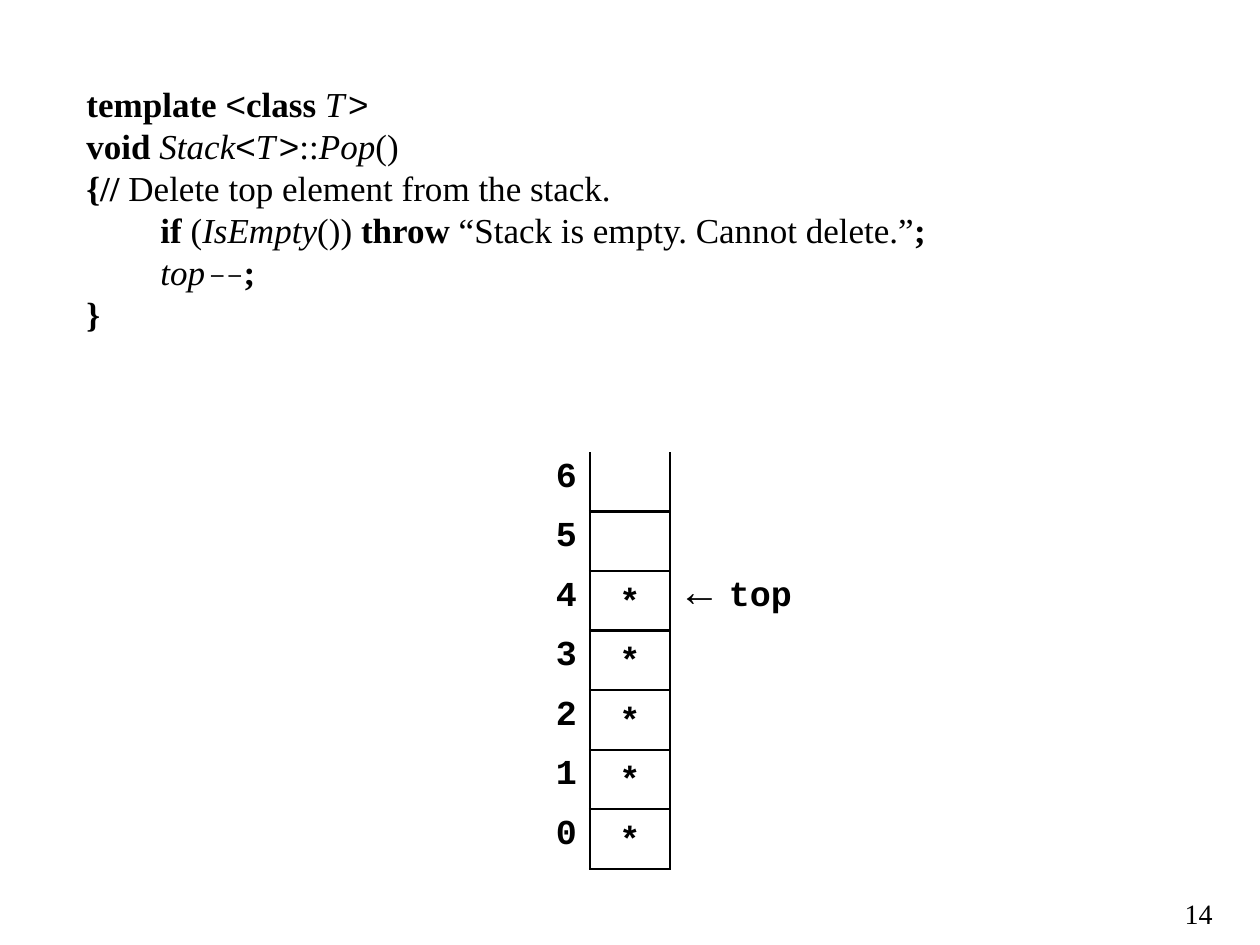
from dataclasses import dataclass

from lxml.etree import SubElement
from pptx import Presentation
from pptx.dml.color import RGBColor
from pptx.enum.text import PP_ALIGN
from pptx.oxml.ns import qn
from pptx.util import Emu, Pt


@dataclass(frozen=True)
class Theme:
    """Colours, fonts and type sizes of the slide."""

    ink: str = "000000"
    serif: str = "Times New Roman"
    mono: str = "Courier New"
    bracket: str = "Arial"
    minus: str = "Cambria"
    body: int = 20
    leading: int = 24
    operator: int = 18
    arrow: int = 24
    number: int = 16
    border: float = 1.5


THEME = Theme()
PLAIN, BOLD, ITALIC = {}, {"bold": True}, {"italic": True}
SPACED = {"italic": True, "spacing": 200}
BRACKET = {"name": THEME.bracket}
MINUS = {"name": THEME.minus, "size": Pt(THEME.operator)}

CODE_INDENT = 74
CODE = [
    (0, [("template ", BOLD), ("<", BRACKET), ("class ", BOLD), ("T", SPACED), (">", BRACKET)]),
    (0, [("void ", BOLD), ("Stack", ITALIC), ("<", BRACKET), ("T", SPACED), (">", BRACKET),
         ("::", PLAIN), ("Pop", ITALIC), ("()", PLAIN)]),
    (0, [("{//", BOLD), (" Delete top element from the stack.", PLAIN)]),
    (1, [("if", BOLD), (" (", PLAIN), ("IsEmpty", ITALIC), ("()) ", PLAIN), ("throw", BOLD),
         (" “Stack is empty. Cannot delete.”", PLAIN), (";", BOLD)]),
    (1, [("to", ITALIC), ("p", SPACED), ("−−", MINUS), (";", BOLD)]),
    (0, [("}", BOLD)]),
]

CAPACITY = 7
TOP_INDEX = 4
COLUMN_WIDTHS = (59, 80, 59, 80)


def px(length):
    """Turn pixels into EMU."""
    return Emu(round(length * 914400 / 126))


def style_paragraph(paragraph, name, size, bold=None, align=None):
    """Set the shared font and alignment of a paragraph."""
    paragraph.alignment = align
    font = paragraph.font
    font.name, font.size, font.bold = name, Pt(size), bold
    font.color.rgb = RGBColor.from_string(THEME.ink)


def add_run(paragraph, text, style):
    """Add one run with its departures from the paragraph font."""
    run = paragraph.add_run()
    run.text = text
    for key, value in style.items():
        if key == "spacing":
            run.font._element.set("spc", str(value))
        else:
            setattr(run.font, key, value)


def add_code(slide, left, top, width, height):
    """Place the method listing."""
    frame = slide.shapes.add_textbox(px(left), px(top), px(width), px(height)).text_frame
    frame.word_wrap = True
    for index, (level, runs) in enumerate(CODE):
        paragraph = frame.add_paragraph() if index else frame.paragraphs[0]
        if level:
            paragraph._p.get_or_add_pPr().set("marL", str(px(CODE_INDENT * level)))
        style_paragraph(paragraph, THEME.serif, THEME.body)
        paragraph.line_spacing = Pt(THEME.leading)
        for text, style in runs:
            add_run(paragraph, text, style)


def set_borders(cell, sides):
    """Draw the named sides of a cell and clear the others."""
    properties = cell._tc.get_or_add_tcPr()
    for side in "LRTB":
        line = SubElement(properties, qn(f"a:ln{side}"), w=str(Pt(THEME.border)))
        if side in sides:
            fill = SubElement(line, qn("a:solidFill"))
            SubElement(fill, qn("a:srgbClr"), val=THEME.ink)
        else:
            SubElement(line, qn("a:noFill"))


def fill_cell(cell, text, align, margins, size=THEME.body):
    """Write a cell with left, top, right and bottom margins in px."""
    cell.margin_left, cell.margin_top, cell.margin_right, cell.margin_bottom = map(px, margins)
    paragraph = cell.text_frame.paragraphs[0]
    paragraph.text = text
    style_paragraph(paragraph, THEME.mono, size, True, align)


def add_stack(slide, left, top, width, height):
    """Place the stack table with its indices and top marker."""
    frame = slide.shapes.add_table(
        CAPACITY, len(COLUMN_WIDTHS), px(left), px(top), px(width), px(height))
    table = frame.table
    table.first_row = table.horz_banding = False
    for column, column_width in zip(table.columns, COLUMN_WIDTHS):
        column.width = px(column_width)
    for row_number, row in enumerate(table.rows):
        row.height = px(height / CAPACITY)
        slot_sides = "LRTB" if row_number else "LRB"
        for cell, sides in zip(row.cells, ("R", slot_sides, "L", "")):
            set_borders(cell, sides)
            cell.fill.background()
        label, slot, arrow, marker = row.cells
        index = CAPACITY - 1 - row_number
        fill_cell(label, str(index), PP_ALIGN.RIGHT, (13, 6, 13, 6))
        if index <= TOP_INDEX:
            fill_cell(slot, "*", PP_ALIGN.CENTER, (13, 13, 13, 0))
        if index == TOP_INDEX:
            fill_cell(arrow, "←", PP_ALIGN.CENTER, (13, 0, 13, 5), THEME.arrow)
            fill_cell(marker, "top", PP_ALIGN.LEFT, (0, 6, 13, 6))


def add_page_number(slide, left, top, width, height):
    """Place the page number."""
    frame = slide.shapes.add_textbox(px(left), px(top), px(width), px(height)).text_frame
    frame.word_wrap = True
    paragraph = frame.paragraphs[0]
    paragraph.text = "14"
    style_paragraph(paragraph, THEME.serif, THEME.number, align=PP_ALIGN.RIGHT)


def main():
    """Build and save the slide."""
    presentation = Presentation()
    presentation.slide_width, presentation.slide_height = px(1260), px(945)
    slide = presentation.slides.add_slide(presentation.slide_layouts[6])
    add_code(slide, 74, 76, 873, 278)
    add_page_number(slide, 1166, 890, 59, 40)
    add_stack(slide, 531, 452, sum(COLUMN_WIDTHS), 417)
    presentation.save("out.pptx")


if __name__ == "__main__":
    main()
